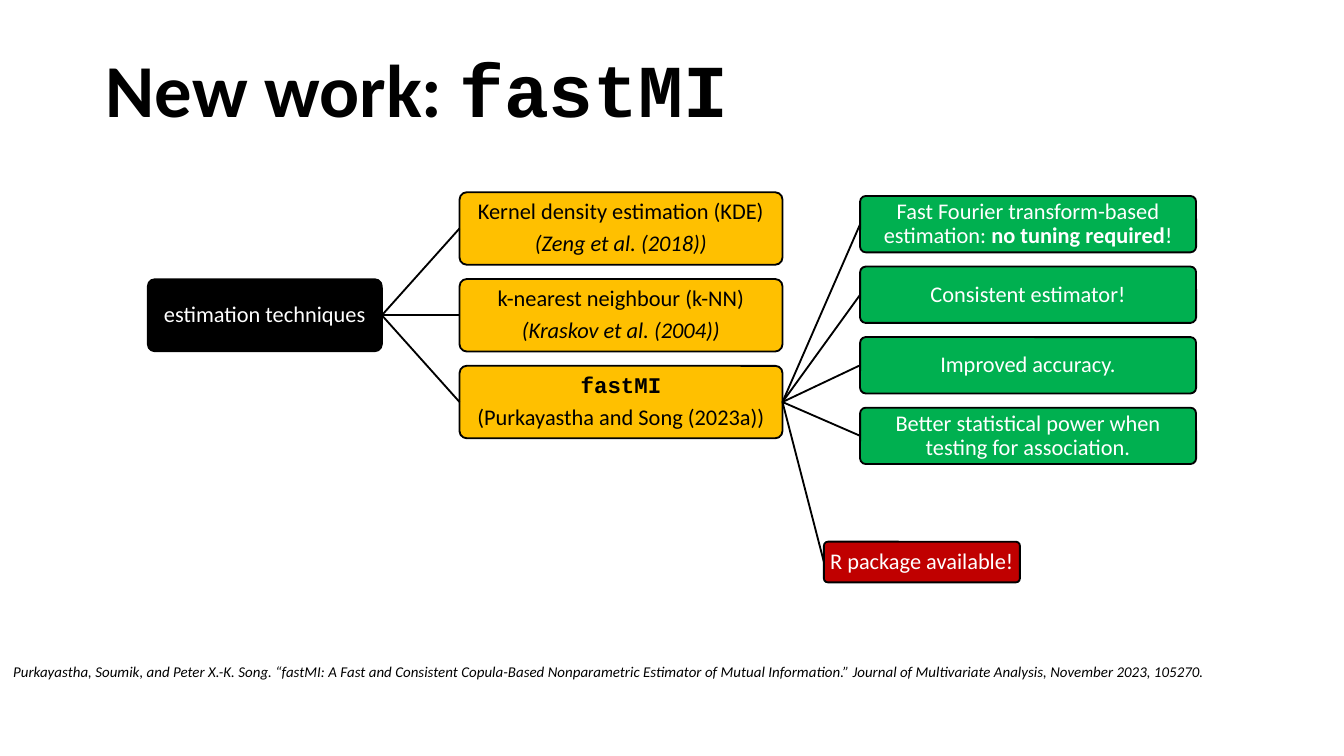
from lxml import etree
from pptx import Presentation
from pptx.dml.color import RGBColor
from pptx.enum.shapes import MSO_CONNECTOR, MSO_SHAPE
from pptx.enum.text import MSO_ANCHOR, MSO_AUTO_SIZE, PP_ALIGN
from pptx.oxml.ns import qn
from pptx.util import Pt

ROUNDED = MSO_SHAPE.ROUNDED_RECTANGLE
STRAIGHT = MSO_CONNECTOR.STRAIGHT
MIDDLE = MSO_ANCHOR.MIDDLE
LEFT, CENTER, JUSTIFY = PP_ALIGN.LEFT, PP_ALIGN.CENTER, PP_ALIGN.JUSTIFY
LEFT_SITE, RIGHT_SITE = 1, 3

THEME = {
    "font": "Calibri", "code_font": "Courier New",
    "title_size": 40, "box_size": 12, "citation_size": 8,
    "black": RGBColor(0, 0, 0), "white": RGBColor(255, 255, 255),
    "amber": RGBColor(0xFF, 0xC0, 0x00), "green": RGBColor(0x00, 0xB0, 0x50),
    "red": RGBColor(0xC0, 0x00, 0x00),
}

TITLE = [[("New work: ", "bold"), ("fastMI", "code")]]
CITATION = [[(
    "Purkayastha, Soumik, and Peter X.-K. Song. “fastMI: A Fast and Consistent "
    "Copula-Based Nonparametric Estimator of Mutual Information.” Journal of "
    "Multivariate Analysis, November 2023, 105270.", "italic")]]
ROOT = [[[("estimation techniques", "plain")]]]
METHODS = [
    [[("Kernel density estimation (KDE)", "plain")], [("(Zeng et al. (2018))", "italic")]],
    [[("k-nearest neighbour (k-NN)", "plain")], [("(Kraskov et al. (2004))", "italic")]],
    [[("fastMI", "code")], [("(Purkayastha and Song (2023a))", "plain")]],
]
BENEFITS = [
    [[("Fast Fourier transform-based estimation: ", "plain"),
      ("no tuning required", "bold"), ("!", "plain")]],
    [[("Consistent estimator!", "plain")]],
    [[("Improved accuracy.", "plain")]],
    [[("Better statistical power when testing for association.", "plain")]],
]
PACKAGE = [[[("R package available!", "plain")]]]

ROOT_COLUMN = {"left": 79.2, "top": 149.6, "width": 125.4, "height": 38.6,
               "gap": 0, "fill": "black", "color": "white"}
METHOD_COLUMN = {"left": 246.2, "top": 103, "width": 173, "height": 38.8,
                 "gap": 7.7, "fill": "amber", "color": "black"}
BENEFIT_COLUMN = {"left": 460.8, "top": 105, "width": 180, "height": 30.2,
                  "gap": 7.6, "fill": "green", "color": "white"}
PACKAGE_COLUMN = {"left": 441.4, "top": 290.2, "width": 105, "height": 21.8,
                  "gap": 0, "fill": "red", "color": "white"}


def write(text_frame, paragraphs, size, color, alignment, line_spacing=0.9):
    text_frame.word_wrap = True
    for index, pieces in enumerate(paragraphs):
        paragraph = text_frame.paragraphs[0] if index == 0 else text_frame.add_paragraph()
        paragraph.alignment = alignment
        paragraph.line_spacing = line_spacing
        if index < len(paragraphs) - 1:
            paragraph.space_after = Pt(0.35 * size)
        for text, style in pieces:
            run = paragraph.add_run()
            run.text = text
            run.font.name = THEME["code_font" if style == "code" else "font"]
            run.font.size = Pt(size)
            run.font.bold = style in ("bold", "code")
            run.font.italic = style == "italic"
            run.font.color.rgb = THEME[color]


def add_column(slide, labels, column):
    boxes = []
    for index, label in enumerate(labels):
        top = column["top"] + index * (column["height"] + column["gap"])
        box = slide.shapes.add_shape(ROUNDED, Pt(column["left"]), Pt(top),
                                     Pt(column["width"]), Pt(column["height"]))
        box.adjustments[0] = 0.1
        box.shadow.inherit = False
        box.fill.solid()
        box.fill.fore_color.rgb = THEME[column["fill"]]
        box.line.color.rgb = THEME["black"]
        box.line.width = Pt(1)
        text_frame = box.text_frame
        text_frame.margin_left = text_frame.margin_right = Pt(1.5)
        text_frame.margin_top = text_frame.margin_bottom = Pt(1.5)
        text_frame.vertical_anchor = MIDDLE
        write(text_frame, label, THEME["box_size"], column["color"], CENTER)
        boxes.append(box)
    return boxes


def connect(slide, parent, children):
    for child in children:
        connector = slide.shapes.add_connector(STRAIGHT, 0, 0, 0, 0)
        connector.begin_connect(parent, RIGHT_SITE)
        connector.end_connect(child, LEFT_SITE)
        connector.line.color.rgb = THEME["black"]
        connector.line.width = Pt(1)
        etree.SubElement(connector._element.spPr, qn("a:effectLst"))


def main():
    presentation = Presentation()
    presentation.slide_width, presentation.slide_height = Pt(720), Pt(405)
    slide = presentation.slides.add_slide(presentation.slide_layouts[5])

    title = slide.shapes.title
    title.left, title.top, title.width, title.height = Pt(49.5), Pt(22.3), Pt(621), Pt(55.5)
    title.text_frame.auto_size = MSO_AUTO_SIZE.NONE
    title.text_frame.vertical_anchor = MIDDLE
    write(title.text_frame, TITLE, THEME["title_size"], "black", LEFT)

    root = add_column(slide, ROOT, ROOT_COLUMN)[0]
    methods = add_column(slide, METHODS, METHOD_COLUMN)
    benefits = add_column(slide, BENEFITS, BENEFIT_COLUMN)
    package_box = add_column(slide, PACKAGE, PACKAGE_COLUMN)
    connect(slide, root, methods)
    connect(slide, methods[-1], benefits + package_box)

    citation = slide.shapes.add_textbox(Pt(0), Pt(351.4), Pt(720), Pt(17))
    write(citation.text_frame, CITATION, THEME["citation_size"], "black", JUSTIFY, 1.0)

    presentation.save("out.pptx")


if __name__ == "__main__":
    main()
